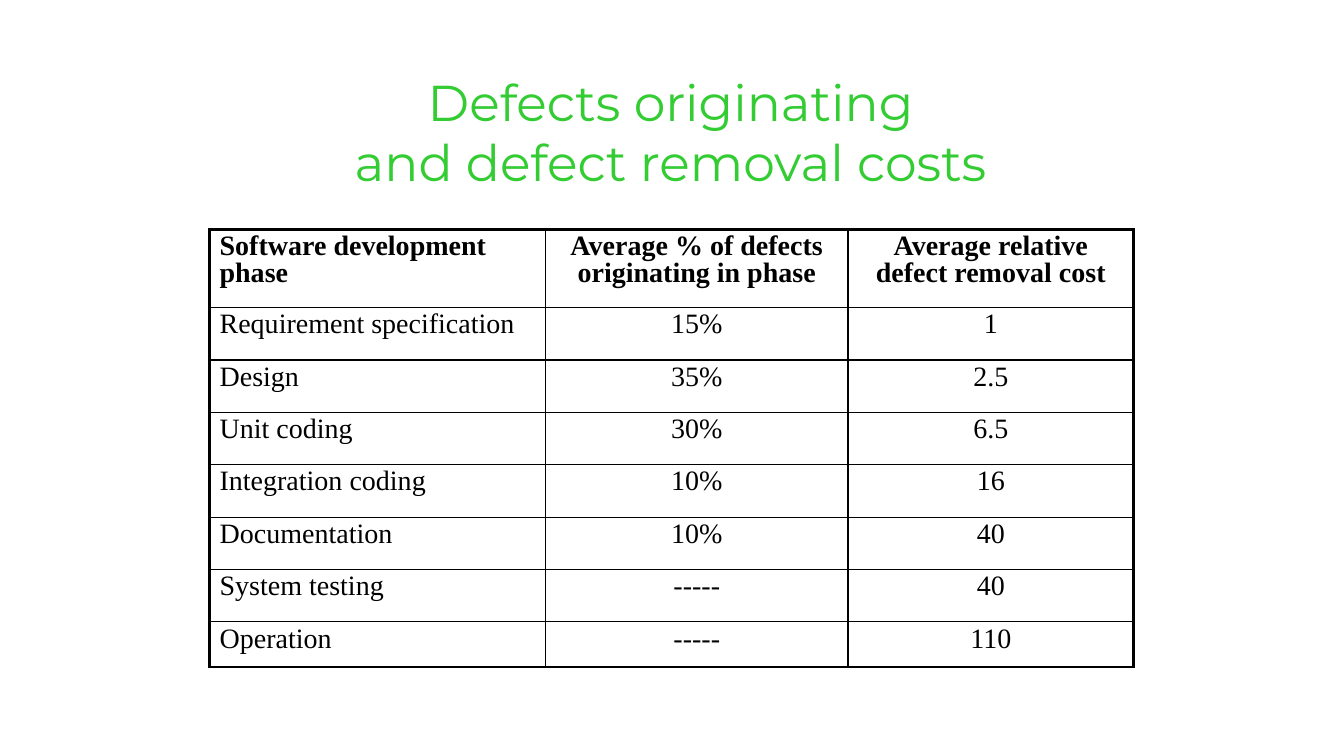
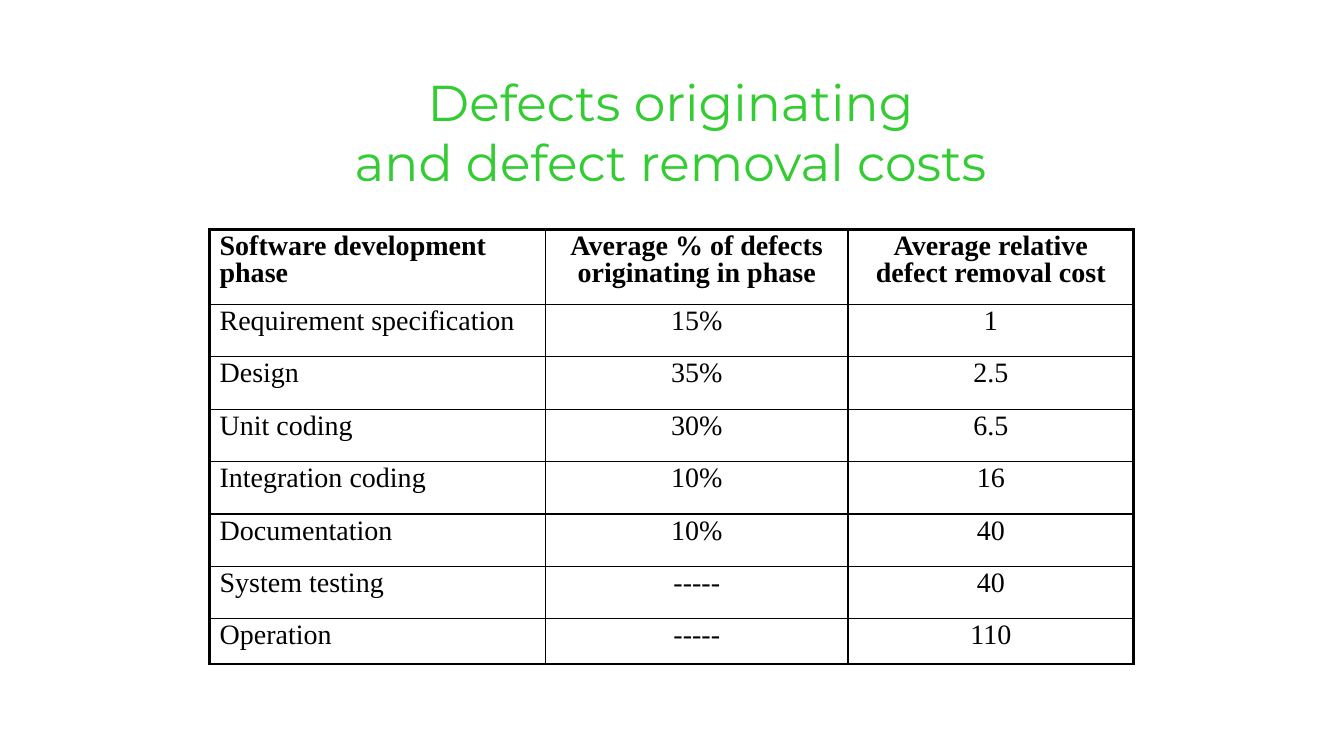
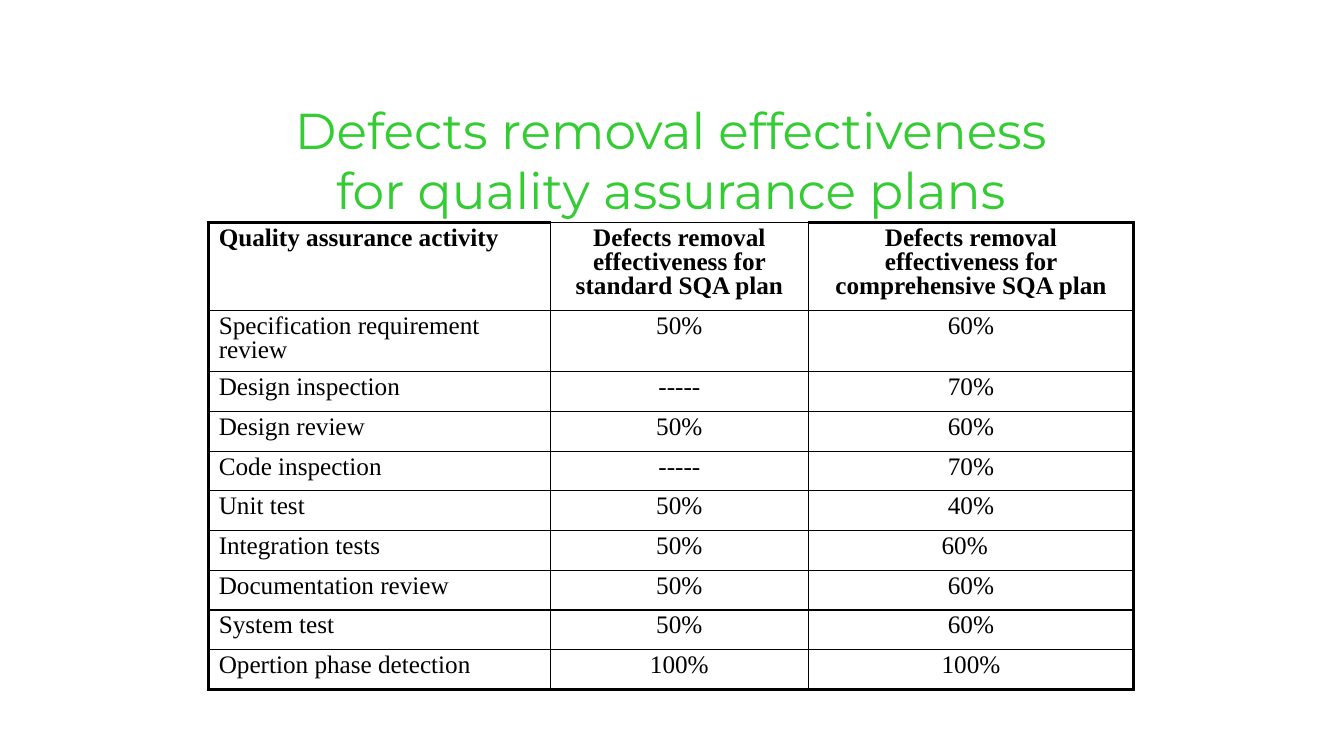
from lxml import etree
from pptx import Presentation
from pptx.dml.color import RGBColor
from pptx.enum.text import MSO_ANCHOR, MSO_AUTO_SIZE, PP_ALIGN
from pptx.oxml.ns import qn
from pptx.util import Cm, Pt

LEFT, CENTER = PP_ALIGN.LEFT, PP_ALIGN.CENTER
TOP, NO_FIT = MSO_ANCHOR.TOP, MSO_AUTO_SIZE.NONE
GREEN = RGBColor(0x33, 0xCC, 0x33)
BLACK = RGBColor(0x00, 0x00, 0x00)
TITLE_ONLY = 5
THICK, THIN = Pt(2.25), Pt(1)

TITLE_FRAME = {"word_wrap": False, "auto_size": NO_FIT,
               "vertical_anchor": TOP, "margin_top": Cm(0.18)}
TITLE_FONT = {"name": "Montserrat", "size": Pt(36), "bold": False}
CELL_FONT = {"name": "Times New Roman"}


def apply(obj, values):
    for name, value in values.items():
        setattr(obj, name, value)


def add_border(tc_pr, index, side, width):
    ln = etree.Element(qn(f"a:ln{side}"), w=str(width))
    fill = etree.SubElement(ln, qn("a:solidFill"))
    etree.SubElement(fill, qn("a:srgbClr"), val=str(BLACK))
    tc_pr.insert(index, ln)


class Deck:
    """Holds the shared style and the current slide."""

    def __init__(self):
        self.prs = Presentation()
        self.prs.slide_width, self.prs.slide_height = Cm(33.87), Cm(19.05)
        self.s = None

    def slide(self):
        layout = self.prs.slide_layouts[TITLE_ONLY]
        self.s = self.prs.slides.add_slide(layout)

    def title(self, text, left, top, width, height):
        sp = self.s.shapes.title
        apply(sp, {"left": Cm(left), "top": Cm(top),
                   "width": Cm(width), "height": Cm(height)})
        tf = sp.text_frame
        tf.text = text
        apply(tf, TITLE_FRAME)
        for p in tf.paragraphs:
            p.alignment = CENTER
            self.font(p.runs[0], TITLE_FONT, GREEN)

    def font(self, r, values, color):
        apply(r.font, values)
        r.font.color.rgb = color

    def table(self, rows, left, top, widths, heights, size, thin_top=()):
        """Frame the table thickly, except above the columns in thin_top."""
        frame = self.s.shapes.add_table(
            len(rows), len(widths), Cm(left), Cm(top),
            Cm(sum(widths)), Cm(sum(heights)))
        tbl = frame.table
        apply(tbl, {"first_row": False, "horz_banding": False})
        for column, width in zip(tbl.columns, widths):
            column.width = Cm(width)
        for row, height in zip(tbl.rows, heights):
            row.height = Cm(height)
        last_row, last_col = len(rows) - 1, len(widths) - 1
        for i, values in enumerate(rows):
            for j, text in enumerate(values):
                cell = tbl.cell(i, j)
                self.cell(cell, text, size, i == 0, CENTER if j else LEFT)
                thick = {"L": j == 0, "R": j == last_col,
                         "T": i == 0 and j not in thin_top,
                         "B": i == last_row}
                tc_pr = cell._tc.get_or_add_tcPr()
                for index, (side, is_thick) in enumerate(thick.items()):
                    add_border(tc_pr, index, side,
                               THICK if is_thick else THIN)
        return tbl

    def cell(self, cell, text, size, bold, align):
        cell.fill.background()
        cell.text = text
        p = cell.text_frame.paragraphs[0]
        apply(p, {"alignment": align, "line_spacing": 0.85})
        self.font(p.runs[0], {**CELL_FONT, "size": Pt(size), "bold": bold},
                  BLACK)


COSTS = [
    ("Software development phase", "Average % of defects originating in phase",
     "Average relative defect removal cost"),
    ("Requirement specification", "15%", "1"),
    ("Design", "35%", "2.5"),
    ("Unit coding", "30%", "6.5"),
    ("Integration coding", "10%", "16"),
    ("Documentation", "10%", "40"),
    ("System testing", "-----", "40"),
    ("Operation", "-----", "110"),
]
EFFECTIVENESS = [
    ("Quality assurance activity",
     "Defects removal effectiveness for standard SQA plan",
     "Defects removal effectiveness for comprehensive SQA plan"),
    ("Specification requirement review", "50%", "60%"),
    ("Design inspection", "-----", "70%"),
    ("Design review", "50%", "60%"),
    ("Code inspection", "-----", "70%"),
    ("Unit test", "50%", "40%"),
    ("Integration tests", "50%", "60%"),
    ("Documentation review", "50%", "60%"),
    ("System test", "50%", "60%"),
    ("Opertion phase detection", "100%", "100%"),
]


def main():
    deck = Deck()

    # Slides 1 and 2: removal costs, differing in header height
    for header_height in (1.96, 1.88):
        deck.slide()
        deck.title("Defects originating\nand defect removal costs",
                   8.1, 1.6, 17.6, 3.12)
        deck.table(COSTS, 5.28, 5.79, [8.47, 7.62, 7.2],
                   [header_height] + [1.32] * 6 + [1.14], 20)

    # Slide 3: removal effectiveness
    deck.slide()
    deck.title("Defects removal effectiveness\nfor quality assurance plans",
               6.35, 2.31, 21.11, 3)
    tbl = deck.table(EFFECTIVENESS, 5.26, 5.61, [8.61, 6.5, 8.2],
                     [2.21, 1.55] + [1.0] * 8, 18, thin_top=(1,))
    # The integration tests value sits slightly left of centre
    tbl.cell(6, 2).margin_right = Cm(0.57)

    deck.prs.save("out.pptx")


if __name__ == "__main__":
    main()
